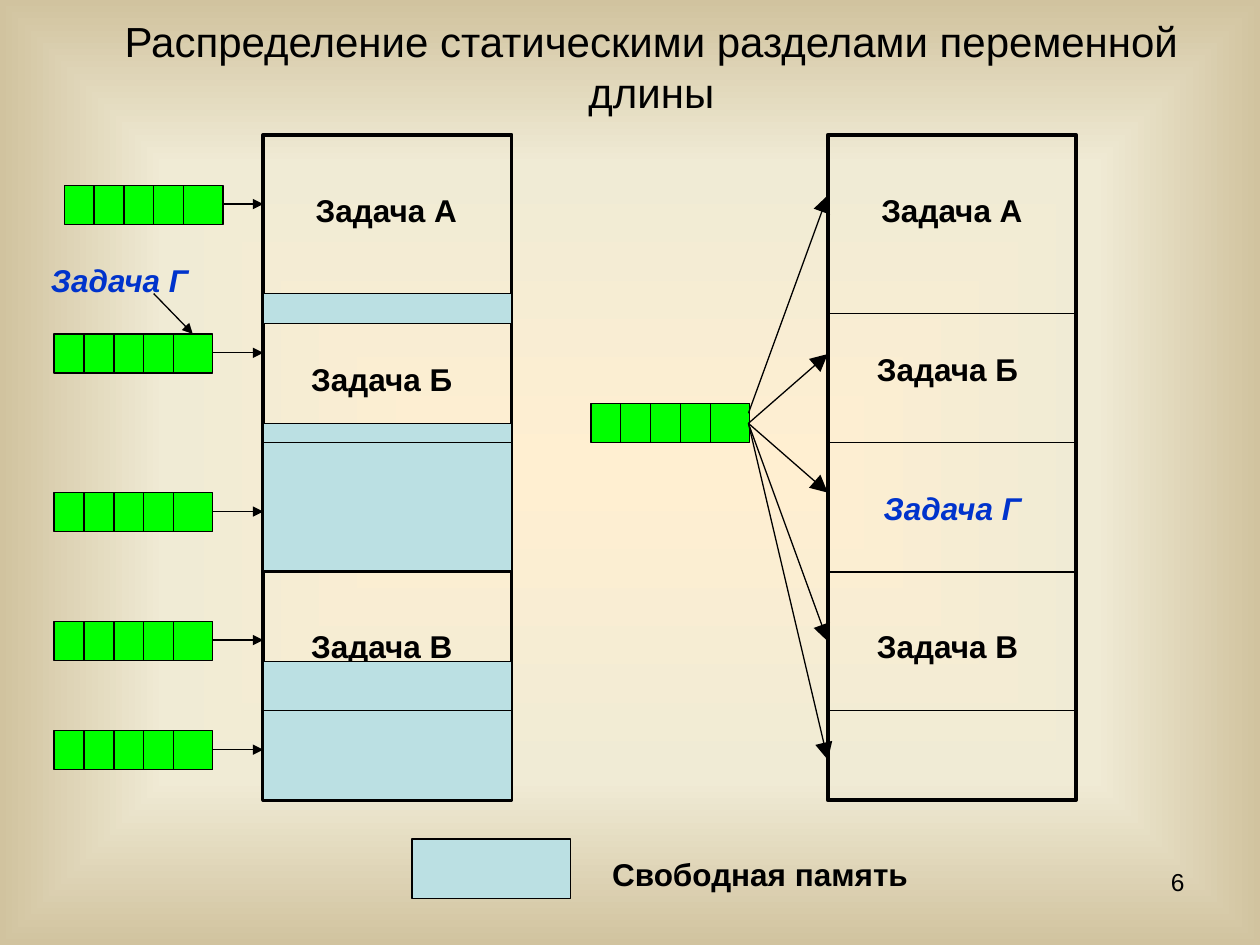
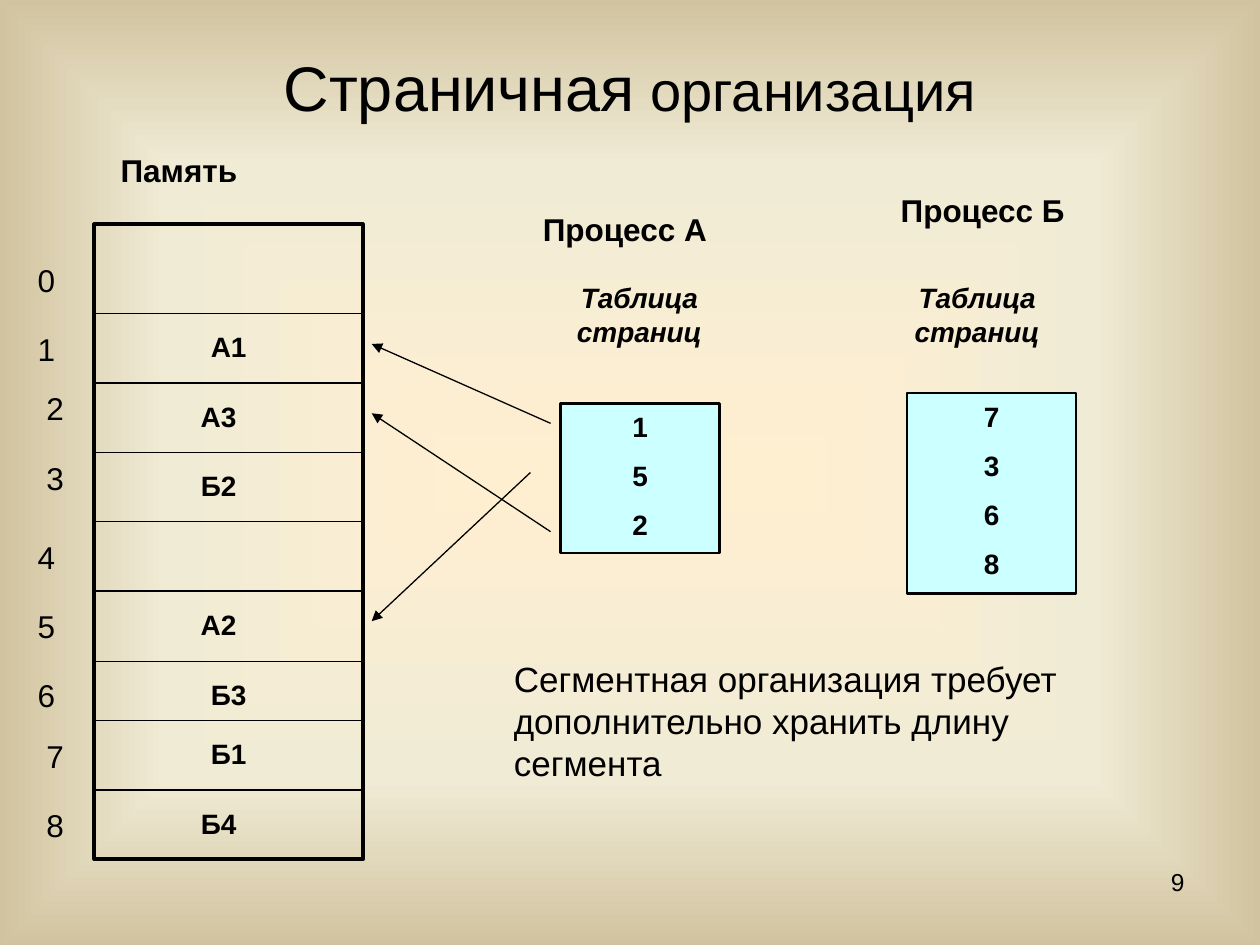
from pptx import Presentation
from pptx.dml.color import RGBColor
from pptx.enum.shapes import MSO_CONNECTOR, MSO_SHAPE
from pptx.enum.text import MSO_ANCHOR, PP_ALIGN
from pptx.oxml import parse_xml
from pptx.oxml.ns import nsdecls, qn
from pptx.util import Inches, Pt

STRAIGHT = MSO_CONNECTOR.STRAIGHT
RECTANGLE = MSO_SHAPE.RECTANGLE
TOP, MIDDLE = MSO_ANCHOR.TOP, MSO_ANCHOR.MIDDLE
LEFT, CENTER, RIGHT = PP_ALIGN.LEFT, PP_ALIGN.CENTER, PP_ALIGN.RIGHT

FONT = "Arial"
BLACK, BLUE = "000000", "0033CC"
QUEUE_GREEN, FREE_TEAL, TABLE_CYAN = "00FF00", "BBE0E3", "CCFFFF"
BACKGROUND_STOPS = [(0, "FFEFD1"), (65, "F0EBD5"), (100, "D1C39F")]


def colour(value):
    """Turn a hex string into a colour."""
    return RGBColor.from_string(value)


def set_background(master):
    """Give the master the glow from the centre that all slides share."""
    master.background.fill.gradient()
    gradient = master.element.find(".//" + qn("a:gradFill"))
    for child in list(gradient):
        gradient.remove(child)
    stops = "".join(
        f'<a:gs pos="{percent * 1000}"><a:srgbClr val="{value}"/></a:gs>'
        for percent, value in BACKGROUND_STOPS)
    gradient.append(parse_xml(f'<a:gsLst {nsdecls("a")}>{stops}</a:gsLst>'))
    gradient.append(parse_xml(
        f'<a:path {nsdecls("a")} path="shape">'
        '<a:fillToRect l="50000" t="50000" r="50000" b="50000"/></a:path>'))


def write(box, paragraphs, size, align, bold=False, italic=False,
          ink=BLACK, anchor=TOP):
    """Fill a box with evenly styled paragraphs, half a line apart."""
    frame = box.text_frame
    frame.word_wrap = True
    frame.vertical_anchor = anchor
    for index, words in enumerate(paragraphs):
        para = frame.add_paragraph() if index else frame.paragraphs[0]
        para.add_run().text = words
        para.alignment = align
        if index:
            para.space_before = Pt(size * 0.55)
        font = para.font
        font.name, font.size = FONT, Pt(size)
        font.bold, font.italic = bold, italic
        font.color.rgb = colour(ink)


def add_text(page, left, top, width, height, words, size=18, align=CENTER,
             **style):
    """Add a text box with one paragraph and return it."""
    box = page.shapes.add_textbox(
        Inches(left), Inches(top), Inches(width), Inches(height))
    write(box, [words], size, align, **style)
    return box


def add_box(shapes, left, top, width, height, fill=None, weight=0.75):
    """Add a black-edged rectangle, hollow when no fill is given."""
    box = shapes.add_shape(RECTANGLE, Inches(left), Inches(top),
                           Inches(width), Inches(height))
    box.shadow.inherit = False
    if fill:
        box.fill.solid()
        box.fill.fore_color.rgb = colour(fill)
    else:
        box.fill.background()
    box.line.color.rgb = colour(BLACK)
    box.line.width = Pt(weight)
    return box


def add_line(shapes, start, end, head=None):
    """Add a thin line; head is the size of an arrowhead at its end."""
    line = shapes.add_connector(STRAIGHT, Inches(start[0]), Inches(start[1]),
                                Inches(end[0]), Inches(end[1]))
    line.line.color.rgb = colour(BLACK)
    line.line.width = Pt(0.75)
    if head:
        line.line._get_or_add_ln().append(parse_xml(
            f'<a:tailEnd {nsdecls("a")} type="triangle" '
            f'w="{head}" len="{head}"/>'))
    line._element.spPr.append(parse_xml(f'<a:effectLst {nsdecls("a")}/>'))


def add_memory(page, left, top, width, height, borders):
    """Add a memory column split by horizontal borders."""
    add_box(page.shapes, left, top, width, height, weight=2.25)
    for y in borders:
        add_line(page.shapes, (left, y), (left + width, y))


def add_queue(page, left, top):
    """Add a green queue of five cells as one group."""
    width, height, cell = 1.26, 0.31, 0.237
    group = page.shapes.add_group_shape()
    add_box(group.shapes, left, top, width, height, QUEUE_GREEN)
    for index in range(1, 5):
        x = left + index * cell
        add_line(group.shapes, (x, top), (x, top + height))


def add_page_table(page, left, top, width, height, frames):
    """Add a process page table that lists its frame numbers."""
    box = add_box(page.shapes, left, top, width, height, TABLE_CYAN, 1.5)
    write(box, frames, 16, CENTER, bold=True)


def add_page(deck, number):
    """Add a blank slide with its number."""
    page = deck.slides.add_slide(deck.slide_layouts[6])
    add_text(page, 7.17, 6.83, 2.33, 0.52, number, 14, RIGHT)
    return page


def build_partitions(deck):
    """Static partitions: a queue for each one, or one shared queue."""
    page = add_page(deck, "6")
    shapes = page.shapes
    own, shared, top, width, height = 2.09, 6.57, 1.07, 1.97, 5.28
    add_memory(page, own, top, width, height, [2.57, 3.51, 4.54, 5.64])
    add_memory(page, shared, top, width, height, [2.49, 3.51, 4.54, 5.64])

    queues = [(0.51, 1.47), (0.43, 2.65), (0.43, 3.91), (0.43, 4.93),
              (0.43, 5.8)]
    for left, y in queues:
        add_queue(page, left, y)
        add_line(shapes, (left + 1.26, y + 0.15), (own, y + 0.15), "med")
    add_queue(page, 4.69, 3.2)
    for start, end in [(3.28, 1.55), (3.36, 2.81), (3.36, 3.91),
                       (3.36, 5.09), (3.36, 6.03)]:
        add_line(shapes, (5.94, start), (shared, end), "lg")

    for left, y, box_width, letter in [
            (2.24, 1.47, 1.65, "А"), (2.24, 2.81, 1.58, "Б"),
            (2.24, 4.93, 1.58, "В"), (6.73, 1.47, 1.65, "А"),
            (6.73, 2.73, 1.58, "Б"), (6.73, 4.93, 1.58, "В")]:
        add_text(page, left, y, box_width, 0.4, f"Задача {letter}", bold=True)
    for left, y in [(6.81, 3.83), (0.2, 2.02)]:
        add_text(page, left, y, 1.5, 0.4, "Задача Г", bold=True, italic=True,
                 ink=BLUE)
    add_line(shapes, (1.22, 2.33), (1.53, 2.65), "med")

    add_text(page, 0.67, 0.21, 9, 0.63,
             "Распределение статическими разделами переменной длины", 24,
             anchor=MIDDLE)
    for y, free_height in [(2.33, 0.24), (3.36, 0.16), (3.51, 1.02),
                           (5.25, 0.39), (5.64, 0.71)]:
        add_box(shapes, own, y, width, free_height, FREE_TEAL)
    add_box(shapes, 3.27, 6.66, 1.26, 0.47, FREE_TEAL)
    add_text(page, 4.76, 6.74, 2.76, 0.4, "Свободная память", align=LEFT,
             bold=True)


def build_paging(deck):
    """Paging: memory frames and the page tables of two processes."""
    page = add_page(deck, "9")
    title = add_text(page, 0.5, 0.3, 9, 0.77, "Страничная", 36, anchor=MIDDLE)
    span = title.text_frame.paragraphs[0].add_run()
    span.text = " организация"
    span.font.size = Pt(32)

    add_text(page, 0.67, 1.15, 1.5, 0.4, "Память", bold=True)
    borders = [2.49, 3.04, 3.59, 4.14, 4.69, 5.25, 5.72, 6.27]
    add_memory(page, 0.75, 1.78, 2.13, 5.04, borders)
    number_places = [(0.2, 2.02), (0.2, 2.57), (0.27, 3.04), (0.27, 3.59),
                     (0.2, 4.22), (0.2, 4.77), (0.2, 5.32), (0.27, 5.8),
                     (0.27, 6.35)]
    for number, (left, y) in enumerate(number_places):
        add_text(page, left, y, 0.32, 0.4, str(number))
    contents = [(1.38, "А1"), (1.3, "А3"), (1.3, "Б2"), (1.3, ""),
                (1.3, "А2"), (1.38, "Б3"), (1.38, "Б1"), (1.3, "Б4")]
    for border, (left, words) in zip(borders, contents):
        if words:
            add_text(page, left, border + 0.08, 0.87, 0.37, words, 16,
                     bold=True)

    for left, y, name in [(4.21, 1.62, "А"), (7.05, 1.47, "Б")]:
        add_text(page, left, y, 1.65, 0.4, f"Процесс {name}", align=LEFT,
                 bold=True)
    for left in (4.29, 6.97):
        add_text(page, left, 2.18, 1.57, 0.64, "Таблица страниц", 16,
                 bold=True, italic=True)
    add_page_table(page, 4.45, 3.2, 1.26, 1.19, "152")
    add_page_table(page, 7.2, 3.12, 1.34, 1.59, "7368")
    for start, y in [((4.37, 3.36), 2.73), ((4.21, 3.75), 4.93),
                     ((4.37, 4.22), 3.28)]:
        add_line(page.shapes, start, (2.95, y), "med")
    add_text(page, 3.98, 5.17, 4.73, 1.1,
             "Сегментная организация требует дополнительно хранить длину "
             "сегмента", 20, LEFT)


def main():
    """Build and save the deck."""
    deck = Presentation()
    deck.slide_width, deck.slide_height = Inches(10), Inches(7.5)
    set_background(deck.slide_master)
    build_partitions(deck)
    build_paging(deck)
    deck.save("out.pptx")


main()
